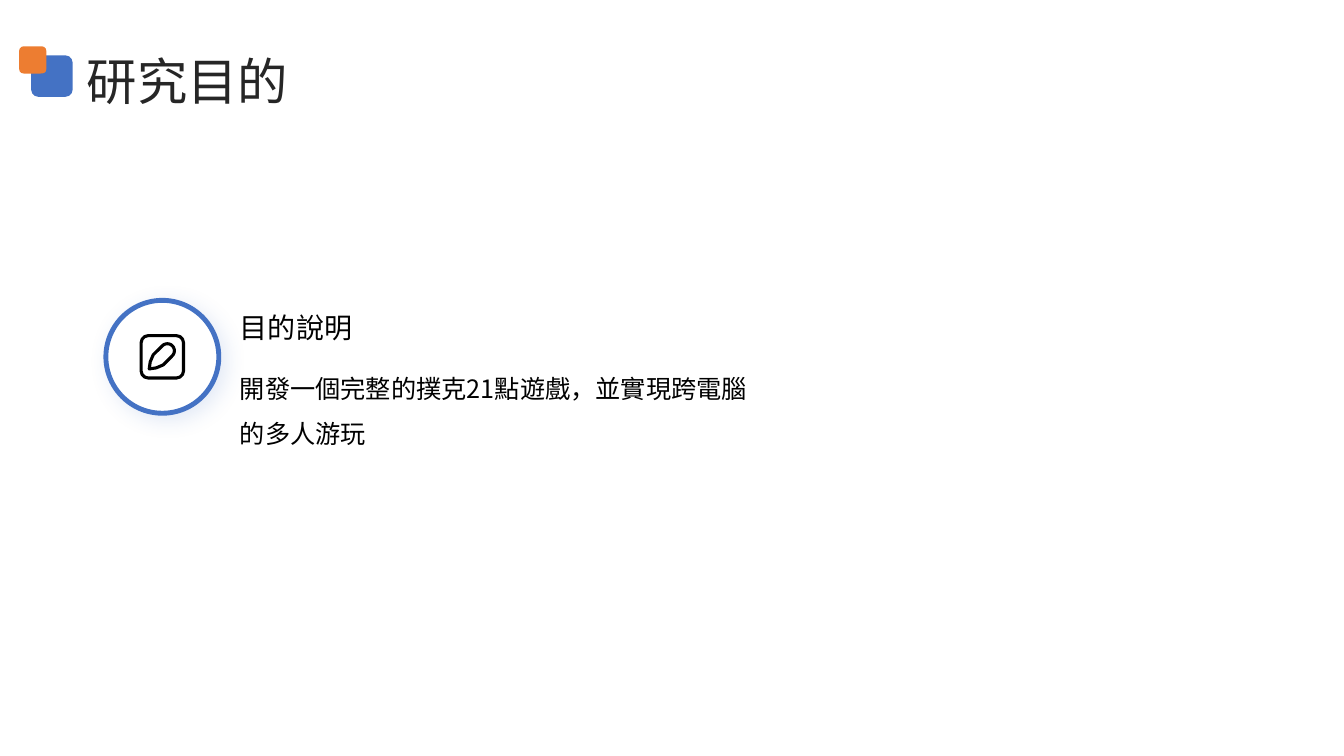
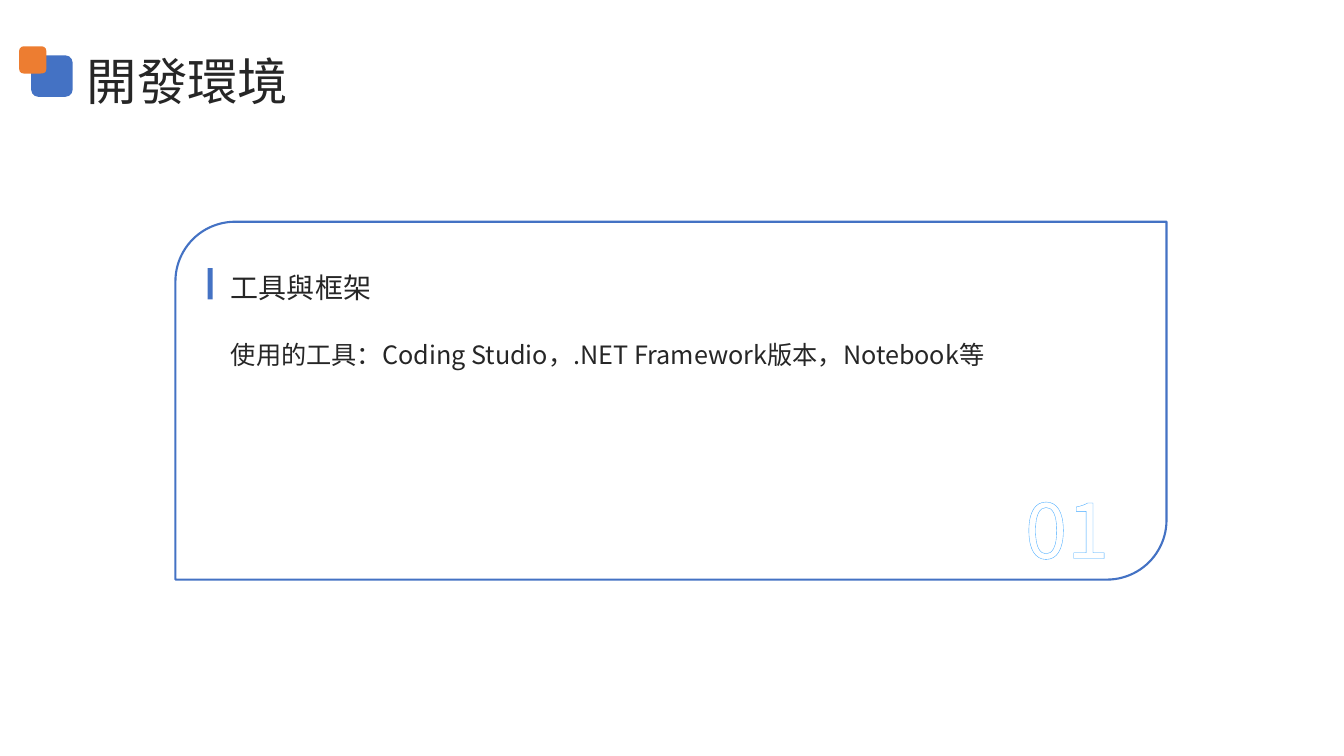
"""Build two slides: the research goal and the development setup."""
from math import cos, radians, sin

from lxml import etree
from pptx import Presentation
from pptx.dml.color import RGBColor
from pptx.enum.shapes import MSO_SHAPE
from pptx.enum.text import MSO_ANCHOR, MSO_AUTO_SIZE, PP_ALIGN
from pptx.oxml import parse_xml
from pptx.oxml.ns import qn
from pptx.util import Inches, Pt

BLUE = RGBColor(0x44, 0x72, 0xC4)
ORANGE = RGBColor(0xED, 0x7D, 0x31)
WHITE = RGBColor(0xFF, 0xFF, 0xFF)
BLACK = RGBColor(0, 0, 0)
INK = RGBColor(0x26, 0x26, 0x26)
FONT = "Noto Sans CJK SC"
NS = 'xmlns:a="http://schemas.openxmlformats.org/drawingml/2006/main"'
LEFT, RIGHT = PP_ALIGN.LEFT, PP_ALIGN.RIGHT
TOP, MIDDLE = MSO_ANCHOR.TOP, MSO_ANCHOR.MIDDLE
FIXED = MSO_AUTO_SIZE.NONE
OVAL, RECT = MSO_SHAPE.OVAL, MSO_SHAPE.RECTANGLE
ROUND, DIAG = MSO_SHAPE.ROUNDED_RECTANGLE, MSO_SHAPE.ROUND_2_DIAG_RECTANGLE


def write(box, place, text, size, color, gap=1.0, anchor=TOP, align=LEFT):
    box.left, box.top, box.width, box.height = map(Inches, place)
    frame = box.text_frame
    frame.text = text
    frame.word_wrap, frame.auto_size = True, FIXED
    frame.vertical_anchor = anchor
    frame.margin_left = frame.margin_right = 0
    frame.margin_top = frame.margin_bottom = 0
    para = frame.paragraphs[0]
    para.alignment, para.line_spacing = align, gap
    para.space_before = Pt(0)
    font = para.font
    font.name, font.size, font.color.rgb = FONT, Pt(size), color
    props = para._p.get_or_add_pPr()
    props.set("marL", "0")
    props.set("indent", "0")
    style = props.find(qn("a:defRPr"))
    style.addprevious(parse_xml(f"<a:buNone {NS}/>"))
    etree.SubElement(style, qn("a:ea"), typeface=FONT)
    return para


def draw(shapes, kind, place, fill=None, line=None, width=0):
    shape = shapes.add_shape(kind, *map(Inches, place))
    shape.shadow.inherit = False
    if fill is None:
        shape.fill.background()
    else:
        shape.fill.solid()
        shape.fill.fore_color.rgb = fill
    if line is None:
        shape.line.fill.background()
    else:
        shape.line.color.rgb, shape.line.width = line, Pt(width)
    return shape


deck = Presentation()
deck.slide_width, deck.slide_height = Inches(13.33), Inches(7.5)

PAGES = [
    ("研究目的", "目的說明", (2.38, 2.98, 5.25, 0.46), TOP,
     "開發一個完整的撲克21點遊戲，並實現跨電腦的多人游玩",
     (2.38, 3.55, 5.25, 1.46), BLACK),
    ("開發環境", "工具與框架", (2.29, 2.6, 8.95, 0.41), MIDDLE,
     "使用的工具：Coding Studio，.NET Framework版本，Notebook等",
     (2.29, 3.22, 8.94, 1.57), INK),
]
for title, head, spot, anchor, body, area, color in PAGES:
    slide = deck.slides.add_slide(deck.slide_layouts[1])
    write(slide.shapes.title, (0.86, 0.51, 11.67, 0.51), title, 36, INK, 1.1, MIDDLE)
    write(slide.placeholders[1], area, body, 18, color, 1.5)
    label = slide.shapes.add_textbox(0, 0, 0, 0)
    write(label, spot, head, 20, color, 1.3, anchor)
    badge = slide.shapes.add_group_shape()
    draw(badge.shapes, ROUND, (0.31, 0.55, 0.41, 0.41), BLUE)
    draw(badge.shapes, ROUND, (0.19, 0.46, 0.27, 0.27), ORANGE)

goal, setup = deck.slides

disc = draw(goal.shapes, OVAL, (1.05, 2.98, 1.12, 1.12), WHITE, BLUE, 3.5)
glow = disc._element.spPr.find(qn("a:effectLst"))
glow.append(parse_xml(
    f'<a:outerShdw {NS} blurRad="{Pt(15)}" dist="{Pt(5)}" dir="2700000">'
    f'<a:srgbClr val="{BLUE}"><a:alpha val="15000"/></a:srgbClr></a:outerShdw>'))
draw(goal.shapes, ROUND, (1.4, 3.33, 0.42, 0.42), None, BLACK, 2.2)
cap = [(1.66 + 0.07 * cos(radians(turn)), 3.48 + 0.07 * sin(radians(turn)))
       for turn in range(-135, 46, 15)]
edge = [(1.48, 3.66), (1.49, 3.59), (1.52, 3.52), *cap, (1.62, 3.62), (1.55, 3.65)]
dots = [(Inches(x), Inches(y)) for x, y in edge]
path = goal.shapes.build_freeform(*dots[0])
path.add_line_segments(dots[1:], close=True)
pen = path.convert_to_shape()
pen.shadow.inherit = False
pen.fill.background()
pen.line.color.rgb, pen.line.width = BLACK, Pt(2.2)

card = draw(setup.shapes, DIAG, (1.74, 2.2, 9.83, 3.55), WHITE, BLUE, 1.5)
setup.shapes._spTree.insert(2, card._element)
draw(setup.shapes, RECT, (2.06, 2.66, 0.05, 0.31), BLUE)
mark = setup.shapes.add_textbox(0, 0, 0, 0)
para = write(mark, (9.73, 4.79, 1.27, 0.81), "01", 54, WHITE, align=RIGHT)
para.runs[0]._r.get_or_add_rPr().insert(0, parse_xml(
    f'<a:ln {NS} w="{Pt(1)}"><a:solidFill><a:srgbClr val="40A8FF"/></a:solidFill></a:ln>'))

deck.save("out.pptx")
